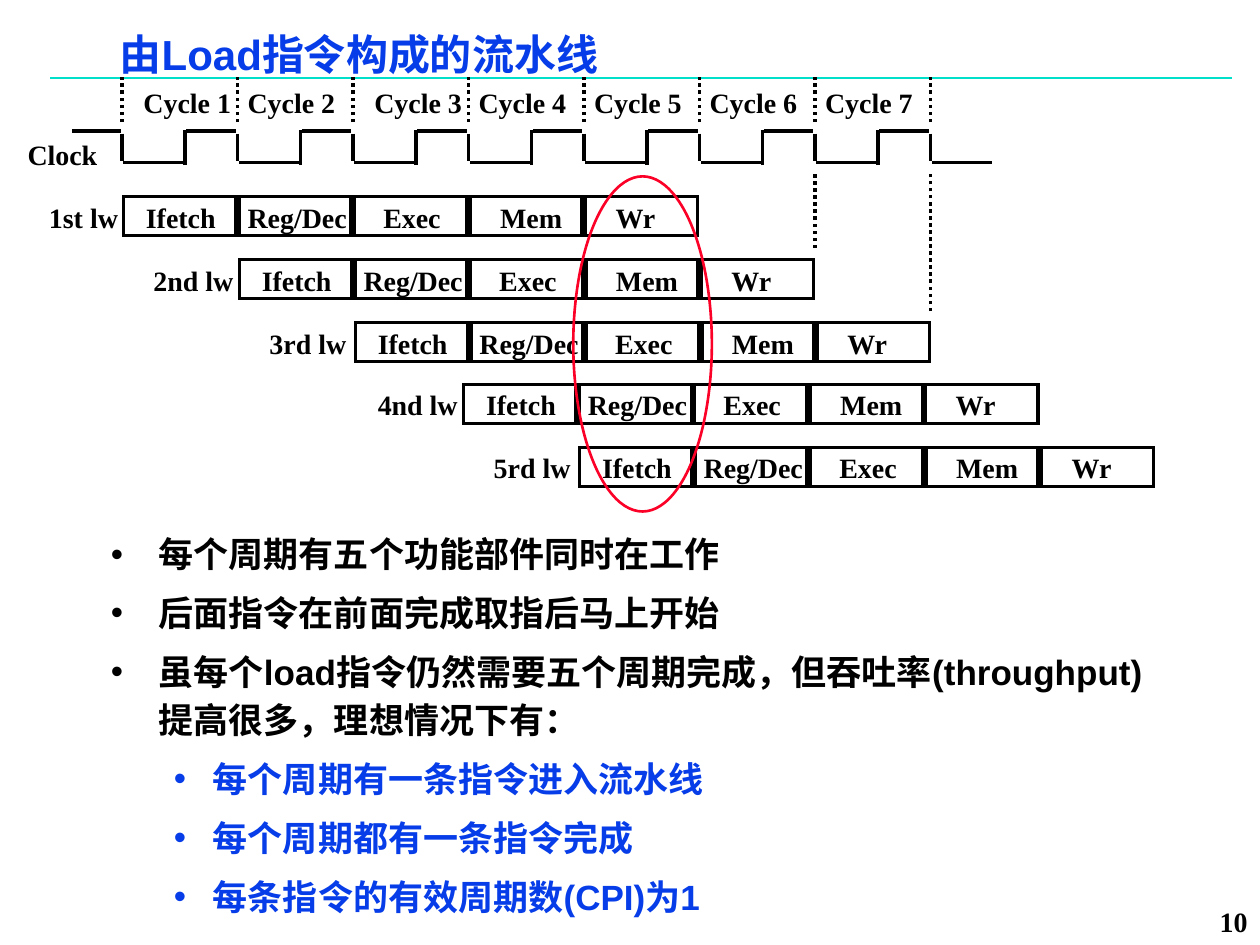
from lxml import etree
from pptx import Presentation, util as u
from pptx.dml.color import RGBColor
from pptx.enum import dml, shapes, text
from pptx.oxml.ns import qn

BLACK = RGBColor(0x00, 0x00, 0x00)
BLUE = RGBColor(0x06, 0x3D, 0xE8)
TEAL = RGBColor(0x00, 0xDF, 0xCA)
RED = RGBColor(0xFC, 0x01, 0x28)
SERIF, SANS = "Times New Roman", "Arial"

PITCH = 5.5 / 6  # width of one clock cycle
TICK = 0.97  # left edge of the first cycle

# name, text offset from the left of its cell, text width
STAGES = [
    ("Ifetch", 0.08, 0.76),
    ("Reg/Dec", -0.03, 0.99),
    ("Exec", 0.13, 0.65),
    ("Mem", 0.14, 0.69),
    ("Wr", 0.14, 0.52),
]
# name, left and top of the first cell, label offset, label width
LOADS = [
    ("1st lw", 0.98, 1.56, 0.69, 0.75),
    ("2nd lw", 1.90, 2.06, 0.78, 0.83),
    ("3rd lw", 2.82, 2.56, 0.78, 0.81),
    ("4nd lw", 3.68, 3.05, 0.78, 0.84),
    ("5rd lw", 4.60, 3.55, 0.78, 0.82),
]
POINTS = [
    (0, "每个周期有五个功能部件同时在工作"),
    (0, "后面指令在前面完成取指后马上开始"),
    (0, "虽每个load指令仍然需要五个周期完成，但吞吐率(throughput)提高很多，理想情况下有："),
    (1, "每个周期有一条指令进入流水线"),
    (1, "每个周期都有一条指令完成"),
    (1, "每条指令的有效周期数(CPI)为1"),
]
LEVELS = [(0.38, -0.38, BLACK), (0.81, -0.31, BLUE)]  # indents and colour


def inch(*vals):
    return [u.Inches(v) for v in vals]


def style(par, size, face, color):
    for run in par.runs:
        font = run.font
        font.size, font.name, font.bold = u.Pt(size), face, True
        font.color.rgb = color


def frame(slide, x, y, w, h, tight=False):
    """Add an empty text box; tight gives it the narrow margins."""
    tf = slide.shapes.add_textbox(*inch(x, y, w, h)).text_frame
    tf.word_wrap = True
    tf.auto_size = text.MSO_AUTO_SIZE.SHAPE_TO_FIT_TEXT
    if tight:
        tf.margin_left = tf.margin_right = u.Inches(0.07)
        tf.margin_top = tf.margin_bottom = u.Inches(0.03)
    return tf


def label(slide, words, x, y, w):
    """Add a one-line label, with spare room on its right."""
    tf = frame(slide, x, y, w, 0.36)
    tf.margin_right = 0
    tf.text = words
    style(tf.paragraphs[0], 16, SERIF, BLACK)


def line(slide, x1, y1, x2, y2, color=BLACK, width=2, dots=False):
    con = slide.shapes.add_connector(
        shapes.MSO_CONNECTOR.STRAIGHT, *inch(x1, y1, x2, y2))
    con.line.color.rgb = color
    con.line.width = u.Pt(width)
    if dots:
        con.line.dash_style = dml.MSO_LINE.ROUND_DOT
    etree.SubElement(con._element.spPr, qn("a:effectLst"))


def outline(slide, kind, x, y, w, h, color, width):
    shape = slide.shapes.add_shape(kind, *inch(x, y, w, h))
    shape.shadow.inherit = False
    shape.fill.background()
    shape.line.color.rgb = color
    shape.line.width = u.Pt(width)
    edge = shape._element.spPr.find(qn("a:ln"))
    etree.SubElement(edge, qn("a:miter")).set("lim", "800000")


def header(slide, x, y, w, h):
    line(slide, 0.4, 0.62, 9.78, 0.62, TEAL, 1)
    tf = frame(slide, x, y, w, h, tight=True)
    tf.text = "由Load指令构成的流水线"
    par = tf.paragraphs[0]
    par.line_spacing = 0.87
    style(par, 24, SANS, BLUE)


def clock(slide, left, top, count):
    """Draw the square wave, its cycle names and the dotted ticks above."""
    low = top + 0.25
    label(slide, "Clock", 0.12, top, 0.75)
    line(slide, left - 0.4, top, left - 0.01, top)
    for i in range(count + 1):
        x = left + i * PITCH
        line(slide, x, top - 0.07, x, top - 0.43, dots=True)
        line(slide, x, top + 0.02, x, low - 0.01)
        line(slide, x + 0.01, low, x + 0.49, low)
        if i < count:
            line(slide, x + 0.5, low + 0.02, x + 0.5, top - 0.01)
            line(slide, x + 0.51, top, x + 0.9, top)
            shift = 0.07 if i in (0, 2) else -0.02
            label(slide, f"Cycle {i + 1}", x + shift, top - 0.41, 0.9)


def load(slide, name, left, top, gap, width):
    """Draw one instruction as its name and a row of five stages."""
    for i, (stage, shift, w) in enumerate(STAGES):
        x = left + i * PITCH
        outline(slide, shapes.MSO_SHAPE.RECTANGLE, x, top, 0.89, 0.31, BLACK, 2)
        label(slide, stage, x + shift, top - 0.02, w)
    label(slide, name, left - gap, top - 0.02, width)


def body(slide, x, y, w, h):
    tf = frame(slide, x, y, w, h, tight=True)
    for i, (level, words) in enumerate(POINTS):
        par = tf.add_paragraph() if i else tf.paragraphs[0]
        par.text = words
        par.level = level
        left, hang, color = LEVELS[level]
        props = par._p.get_or_add_pPr()
        props.set("marL", str(u.Inches(left)))
        props.set("indent", str(u.Inches(hang)))
        etree.SubElement(props, qn("a:buFont")).set("typeface", SANS)
        etree.SubElement(props, qn("a:buChar")).set("char", "•")
        par.line_spacing = 1.15
        if i:
            par.space_before = u.Pt(6)
        style(par, 20, SANS, color)


def number(slide, x, y, w, h):
    tf = frame(slide, x, y, w, h)
    tf.text = "10"
    par = tf.paragraphs[0]
    par.alignment = text.PP_ALIGN.RIGHT
    style(par, 16, SERIF, BLACK)


def main():
    prs = Presentation()
    prs.slide_width, prs.slide_height = inch(10, 7.5)
    slide = prs.slides.add_slide(prs.slide_layouts[6])
    header(slide, 0.88, 0.25, 5.28, 0.41)
    number(slide, 8.83, 7.13, 1.17, 0.37)
    clock(slide, TICK, 1.04, 7)
    for row in LOADS:
        load(slide, *row)
    for i, end in ((6, 1.97), (7, 2.47)):
        x = TICK + i * PITCH
        line(slide, x, end, x, 1.36, dots=True)
    body(slide, 0.81, 4.15, 8.58, 3.35)
    outline(slide, shapes.MSO_SHAPE.OVAL, 4.55, 1.4, 1.1, 2.66, RED, 1.5)
    prs.save("out.pptx")


if __name__ == "__main__":
    main()
